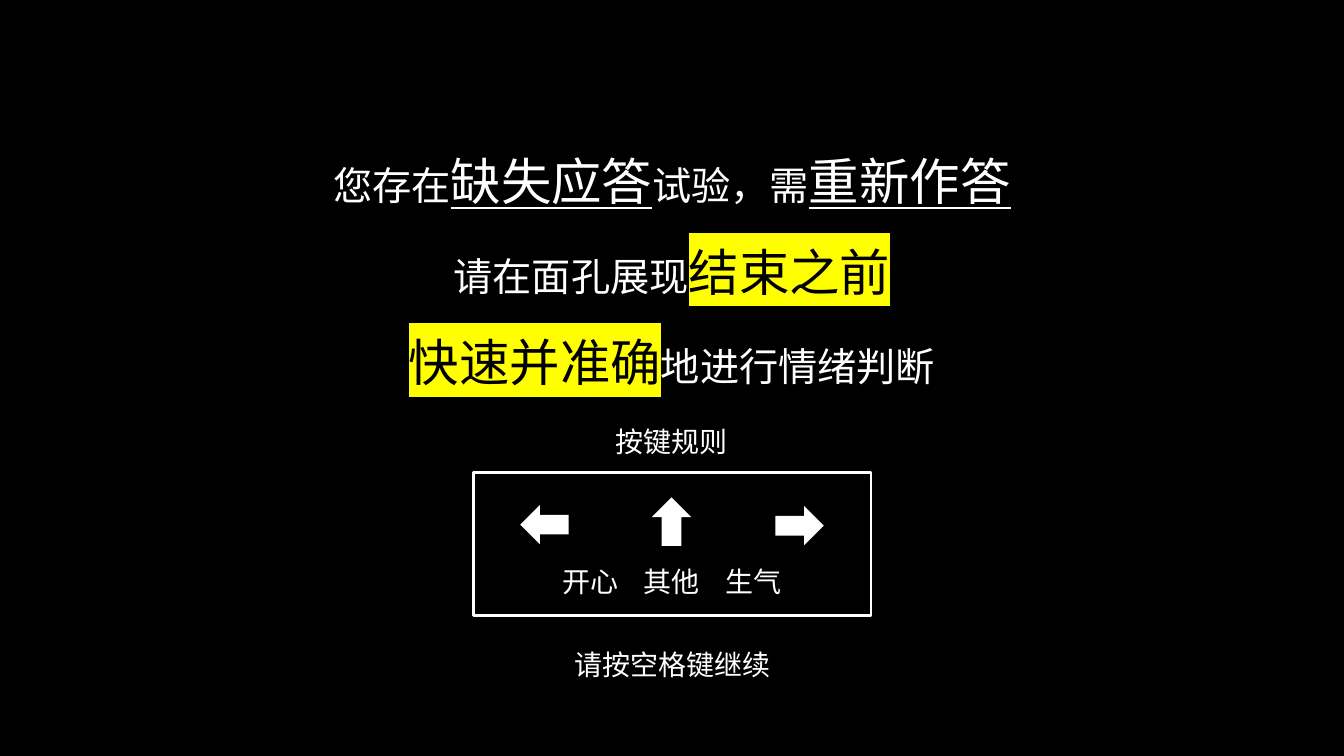
from pptx import Presentation
from pptx.dml.color import RGBColor
from pptx.enum.shapes import MSO_SHAPE as Shape
from pptx.enum.text import PP_ALIGN as Align
from pptx.oxml.ns import qn
from pptx.util import Inches, Pt
from lxml.etree import SubElement

COLORS = {"black": "000000", "white": "FFFFFF", "yellow": "FFFF00"}
FONT = "Noto Sans CJK SC"

# Each line is a list of (text, style) pairs.
MESSAGE = [
    [("您存在", "plain"), ("缺失应答", "underlined"),
     ("试验，需", "plain"), ("重新作答", "underlined")],
    [("请在面孔展现", "plain"), ("结束之前", "marked")],
    [("快速并准确", "marked"), ("地进行情绪判断", "plain")],
]


def color(name):
    return RGBColor.from_string(COLORS[name])


def add_box(page, left, top, width, height):
    box = page.shapes.add_textbox(
        Inches(left), Inches(top), Inches(width), Inches(height))
    box.text_frame.word_wrap = True
    return box.text_frame


def style_paragraph(para, size):
    """Centre the paragraph and set its Latin and East Asian font."""
    para.alignment = Align.CENTER
    font = para.font
    font.size = Pt(size)
    font.name = FONT
    font.color.rgb = color("white")
    SubElement(font._element, qn("a:ea"), typeface=FONT)


def add_label(page, text, left, top, width):
    frame = add_box(page, left, top, width, 0.44)
    frame.margin_left = frame.margin_right = 0
    para = frame.paragraphs[0]
    para.text = text
    style_paragraph(para, 20)


def highlight(span, name):
    mark = SubElement(span.font._element, qn("a:highlight"))
    SubElement(mark, qn("a:srgbClr"), val=COLORS[name])


def add_message(page):
    frame = add_box(page, 2.38, 1.14, 8.57, 2.85)
    for index, line in enumerate(MESSAGE):
        para = frame.add_paragraph() if index else frame.paragraphs[0]
        style_paragraph(para, 28)
        para.line_spacing = 1.5
        for text, style in line:
            span = para.add_run()
            span.text = text
            if style != "plain":
                span.font.size = Pt(36)
            if style == "underlined":
                span.font.underline = True
            elif style == "marked":
                span.font.color.rgb = color("black")
                highlight(span, "yellow")


def add_arrow(page, left, top, rotation):
    arrow = page.shapes.add_shape(
        Shape.LEFT_ARROW, Inches(left), Inches(top), Inches(0.48), Inches(0.39))
    arrow.rotation = rotation
    arrow.shadow.inherit = False
    arrow.fill.solid()
    arrow.fill.fore_color.rgb = color("white")
    arrow.line.fill.background()


def add_frame(page):
    frame = page.shapes.add_shape(
        Shape.RECTANGLE, Inches(4.7), Inches(4.69), Inches(3.94), Inches(1.42))
    frame.shadow.inherit = False
    frame.fill.background()
    frame.line.color.rgb = color("white")
    frame.line.width = Pt(2)


def main():
    deck = Presentation()
    deck.slide_width, deck.slide_height = Inches(13.33), Inches(7.5)
    page = deck.slides.add_slide(deck.slide_layouts[6])
    page.background.fill.solid()
    page.background.fill.fore_color.rgb = color("black")

    add_label(page, "请按空格键继续", 5.01, 6.37, 3.32)
    add_label(page, "按键规则", 5.55, 4.16, 2.23)
    for left, top, rotation in [(5.16, 5.01, 0), (6.42, 4.98, 90), (7.69, 5.02, 180)]:
        add_arrow(page, left, top, rotation)
    for index, emotion in enumerate(["开心", "其他", "生气"]):
        add_label(page, emotion, 5.45 + 0.81 * index, 5.55, 0.81)
    add_frame(page)
    add_message(page)
    deck.save("out.pptx")


if __name__ == "__main__":
    main()
